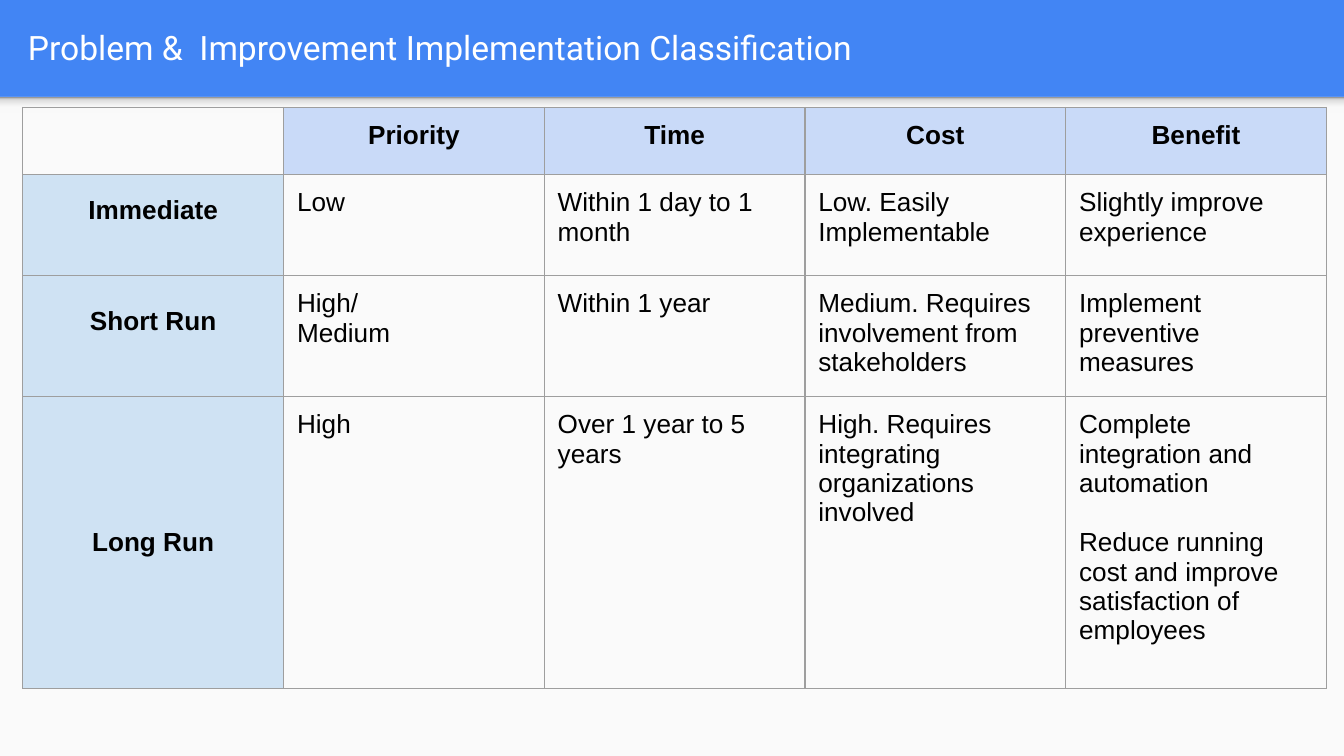
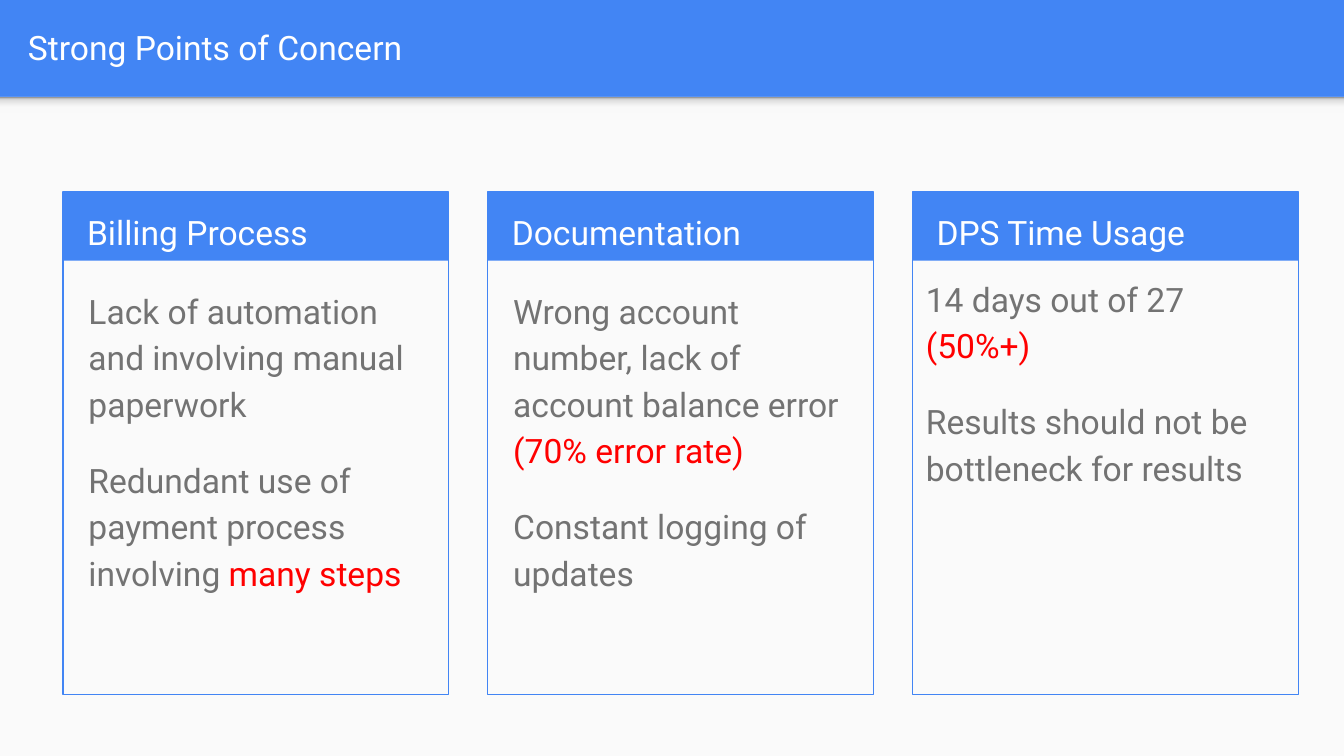
from copy import deepcopy

from lxml.etree import SubElement
from pptx import Presentation
from pptx.dml.color import RGBColor
from pptx.enum.shapes import MSO_SHAPE as Shape
from pptx.enum.text import MSO_ANCHOR as Anchor, PP_ALIGN as Align
from pptx.oxml.ns import qn
from pptx.util import Inches, Pt

BLUE, PAPER, WHITE = "4285F4", "FAFAFA", "FFFFFF"
BLACK, GREY, RED = "000000", "737373", "FF0000"
HEADER_FILL, LABEL_FILL, BORDER = "C9DAF8", "CFE2F3", "9E9E9E"
BAND_HEIGHT = 0.72
MARGIN = 0.1
SHADOW_STOPS = [(0, "F9F9F9"), (0.36, "F9F9F9"), (0.8, "DEDEDE"), (1, "999999")]

COLUMNS = ["", "Priority", "Time", "Cost", "Benefit"]
ROWS = [
    ["Immediate", "Low", "Within 1 day to 1 month", "Low. Easily Implementable",
     "Slightly improve experience"],
    ["Short Run", "High/\nMedium", "Within 1 year",
     "Medium. Requires involvement from stakeholders",
     "Implement preventive measures"],
    ["Long Run", "High", "Over 1 year to 5 years",
     "High. Requires integrating organizations involved",
     "Complete integration and automation\n"
     "Reduce running cost and improve satisfaction of employees"],
]
ROW_HEIGHTS = [0.48, 0.75, 0.86, 2.17]
LABEL_LIFTS = [0.22, 0.22, 0]
COLUMN_WIDTH = 1.94

# Each card: heading, body offset from the card corner, paragraphs of (text, colour).
CARDS = [
    ("Billing Process", (0.09, 0.59), [
        [("Lack of automation and involving manual paperwork", GREY)],
        [("Redundant use of payment process involving ", GREY), ("many steps", RED)]]),
    ("Documentation", (0.09, 0.59), [
        [("Wrong account number, lack of account balance error ", GREY),
         ("(70% error rate)", RED)],
        [("Constant logging of updates", GREY)]]),
    ("DPS Time Usage", (0, 0.5), [
        [("14 days out of 27 ", GREY), ("(50%+)", RED)],
        [("Results should not be bottleneck for results", GREY)]]),
]
CARD_LEFT, CARD_TOP, CARD_PITCH = 0.47, 1.43, 3.16
CARD_WIDTH, CARD_HEIGHT, HEADING_HEIGHT = 2.87, 3.74, 0.51


def color(hex_code):
    return RGBColor.from_string(hex_code)


def apply(target, **values):
    for name, value in values.items():
        setattr(target, name, value)


def set_margins(target):
    for side in ("left", "top", "right", "bottom"):
        setattr(target, f"margin_{side}", Inches(MARGIN))


def add_rect(shapes, left, top, width, height, fill=None, line=None):
    box = shapes.add_shape(Shape.RECTANGLE, Inches(left), Inches(top),
                           Inches(width), Inches(height))
    box.shadow.inherit = False
    if fill:
        box.fill.solid()
        box.fill.fore_color.rgb = color(fill)
    else:
        box.fill.background()
    if line:
        box.line.color.rgb = color(line)
        box.line.width = Pt(0.75)
    else:
        box.line.fill.background()
    return box


def add_span(para, text, hex_code, size, font, bold=False):
    span = para.add_run()
    span.text = text
    apply(span.font, size=Pt(size), name=font, bold=bold)
    span.font.color.rgb = color(hex_code)


def add_text(slide, left, top, width, height, paragraphs,
             anchor=Anchor.TOP, **spacing):
    box = slide.shapes.add_textbox(Inches(left), Inches(top),
                                   Inches(width), Inches(height))
    frame = box.text_frame
    apply(frame, word_wrap=True, vertical_anchor=anchor)
    set_margins(frame)
    for index, spans in enumerate(paragraphs):
        para = frame.add_paragraph() if index else frame.paragraphs[0]
        apply(para, **spacing)
        for text, hex_code in spans:
            add_span(para, text, hex_code, 18, "Roboto")


def add_band_shadow(slide):
    strip = add_rect(slide.shapes, 0, BAND_HEIGHT, 10, 0.12)
    strip.fill.gradient()
    strip.fill.gradient_angle = 90
    stop_list = strip._element.spPr.find(".//" + qn("a:gsLst"))
    while len(stop_list) < len(SHADOW_STOPS):
        stop_list.append(deepcopy(stop_list[0]))
    for stop, (position, hex_code) in zip(strip.fill.gradient_stops, SHADOW_STOPS):
        stop.position = position
        stop.color.rgb = color(hex_code)


def add_titled_slide(deck, title):
    slide = deck.slides.add_slide(deck.slide_layouts[6])
    slide.background.fill.solid()
    slide.background.fill.fore_color.rgb = color(BLUE)
    add_rect(slide.shapes, 0, BAND_HEIGHT, 10, 5.625 - BAND_HEIGHT, PAPER)
    add_band_shadow(slide)
    add_text(slide, 0.11, 0.02, 9.65, 0.66, [[(title, WHITE)]], Anchor.MIDDLE)
    return slide


def add_borders(cell):
    properties = cell._tc.get_or_add_tcPr()
    for side in ("a:lnL", "a:lnR", "a:lnT", "a:lnB"):
        line = SubElement(properties, qn(side), w=str(Pt(0.75)))
        fill = SubElement(line, qn("a:solidFill"))
        SubElement(fill, qn("a:srgbClr"), val=BORDER)


def fill_cell(cell, text, fill=None, heading=False, anchor=Anchor.TOP):
    add_borders(cell)
    set_margins(cell)
    cell.vertical_anchor = anchor
    if fill:
        cell.fill.solid()
        cell.fill.fore_color.rgb = color(fill)
    else:
        cell.fill.background()
    if not text:
        return
    for index, line in enumerate(text.split("\n")):
        para = cell.text_frame.add_paragraph() if index else cell.text_frame.paragraphs[0]
        para.alignment = Align.CENTER if heading else Align.LEFT
        add_span(para, line, BLACK, 14, "Arial", heading)


def add_classification_table(slide):
    table = slide.shapes.add_table(
        len(ROW_HEIGHTS), len(COLUMNS), Inches(0.17), Inches(0.8),
        Inches(COLUMN_WIDTH * len(COLUMNS)), Inches(sum(ROW_HEIGHTS))).table
    apply(table, first_row=False, horz_banding=False)
    for column in table.columns:
        column.width = Inches(COLUMN_WIDTH)
    for row, height in zip(table.rows, ROW_HEIGHTS):
        row.height = Inches(height)
    for index, name in enumerate(COLUMNS):
        fill_cell(table.cell(0, index), name, HEADER_FILL if name else None, True)
    for number, ((label, *texts), lift) in enumerate(zip(ROWS, LABEL_LIFTS), 1):
        label_cell = table.cell(number, 0)
        fill_cell(label_cell, label, LABEL_FILL, True, Anchor.MIDDLE)
        label_cell.margin_bottom = Inches(MARGIN + lift)
        for index, text in enumerate(texts, 1):
            fill_cell(table.cell(number, index), text)
    last_cell = table.cell(len(ROWS), len(COLUMNS) - 1)
    last_cell.text_frame.paragraphs[1].space_before = Pt(16)


def add_card(slide, left, heading, body_offset, paragraphs):
    group = slide.shapes.add_group_shape()
    add_rect(group.shapes, left, CARD_TOP, CARD_WIDTH, HEADING_HEIGHT, BLUE)
    add_rect(group.shapes, left, CARD_TOP, CARD_WIDTH, CARD_HEIGHT, line=BLUE)
    add_text(slide, left + 0.08, CARD_TOP, 2.73, 0.5, [[(heading, WHITE)]],
             line_spacing=1.15)
    across, down = body_offset
    add_text(slide, left + across, CARD_TOP + down, 2.71, 3.06, paragraphs,
             line_spacing=1.15, space_after=Pt(16))


def main():
    deck = Presentation()
    apply(deck, slide_width=Inches(10), slide_height=Inches(5.625))
    add_classification_table(
        add_titled_slide(deck, "Problem &  Improvement Implementation Classification"))
    concerns = add_titled_slide(deck, "Strong Points of Concern")
    for index, card in enumerate(CARDS):
        add_card(concerns, CARD_LEFT + index * CARD_PITCH, *card)
    deck.save("out.pptx")


if __name__ == "__main__":
    main()
